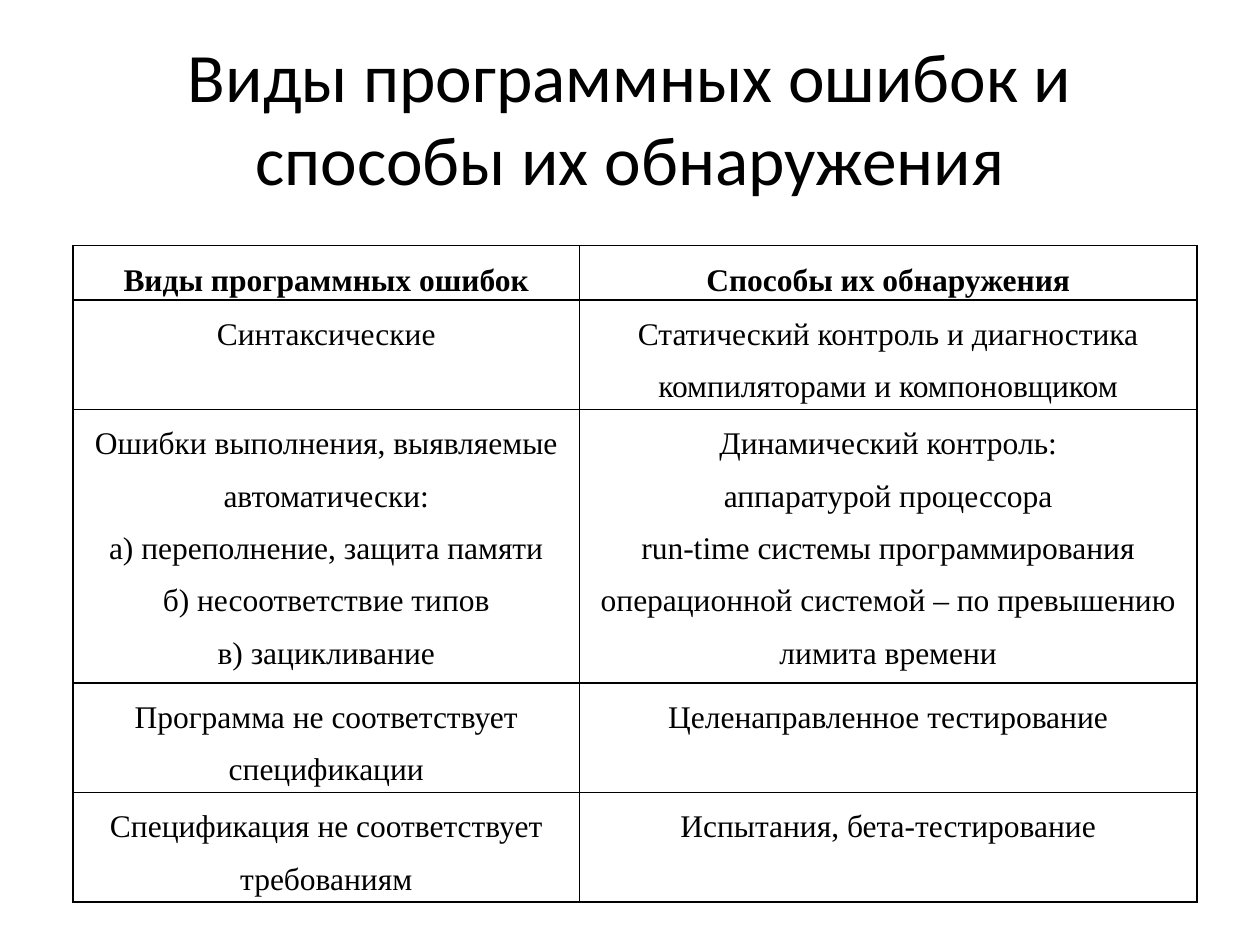
from dataclasses import dataclass

from lxml.etree import SubElement
from pptx import Presentation
from pptx.dml.color import RGBColor
from pptx.enum.text import MSO_ANCHOR, PP_ALIGN
from pptx.oxml.ns import qn
from pptx.util import Inches, Pt


@dataclass(frozen=True)
class Theme:
    ink: str = "000000"
    title_font: str = "Calibri"
    body_font: str = "Times New Roman"
    title_size: float = 39.6
    body_size: float = 18
    border: float = 1
    line_spacing: float = 1.5
    space_after: float = 6
    side_margin: float = 0.07


class Deck:
    def __init__(self, prs, theme):
        self.prs = prs
        self.theme = theme
        self.slide = None

    def add_slide(self):
        self.slide = self.prs.slides.add_slide(self.prs.slide_layouts[5])

    def style(self, p, font, size, bold=False):
        p.alignment = PP_ALIGN.CENTER
        for r in p.runs:
            r.font.name = font
            r.font.size = Pt(size)
            r.font.bold = bold
            r.font.color.rgb = RGBColor.from_string(self.theme.ink)

    def title(self, text, left, top, width, height):
        sp = self.slide.shapes.title
        sp.left, sp.top = Inches(left), Inches(top)
        sp.width, sp.height = Inches(width), Inches(height)
        tf = sp.text_frame
        tf.text = text
        tf.word_wrap = True
        tf.vertical_anchor = MSO_ANCHOR.MIDDLE
        self.style(tf.paragraphs[0], self.theme.title_font, self.theme.title_size)

    def borders(self, cell):
        tc_pr = cell._tc.get_or_add_tcPr()
        for index, side in enumerate(("lnL", "lnR", "lnT", "lnB")):
            ln = tc_pr.makeelement(qn(f"a:{side}"), {"w": str(Pt(self.theme.border))})
            fill = SubElement(ln, qn("a:solidFill"))
            SubElement(fill, qn("a:srgbClr"), val=self.theme.ink)
            tc_pr.insert(index, ln)

    def cell(self, cell, text, bold, space_after):
        cell.fill.background()
        cell.margin_left = cell.margin_right = Inches(self.theme.side_margin)
        cell.margin_top = cell.margin_bottom = 0
        cell.vertical_anchor = MSO_ANCHOR.TOP
        cell.text_frame.text = text
        for p in cell.text_frame.paragraphs:
            p.line_spacing = self.theme.line_spacing
            p.space_after = Pt(space_after)
            self.style(p, self.theme.body_font, self.theme.body_size, bold)
        self.borders(cell)

    def table(self, rows, left, top, widths, heights, spaced_rows):
        frame = self.slide.shapes.add_table(
            len(rows), len(widths), Inches(left), Inches(top),
            Inches(sum(widths)), Inches(sum(heights)))
        table = frame.table
        table.horz_banding = False
        for column, width in zip(table.columns, widths):
            column.width = Inches(width)
        for i, (row, height) in enumerate(zip(rows, heights)):
            table.rows[i].height = Inches(height)
            space_after = self.theme.space_after if i < spaced_rows else 0
            for j, text in enumerate(row):
                self.cell(table.cell(i, j), text, i == 0, space_after)


ERRORS = [
    ("Виды программных ошибок", "Способы их обнаружения"),
    ("Синтаксические",
     "Статический контроль и диагностика компиляторами и компоновщиком"),
    ("Ошибки выполнения, выявляемые автоматически:\n"
     "а) переполнение, защита памяти\n"
     "б) несоответствие типов\n"
     "в) зацикливание",
     "Динамический контроль:\n"
     "аппаратурой процессора\n"
     "run-time системы программирования\n"
     "операционной системой – по превышению лимита времени"),
    ("Программа не соответствует спецификации", "Целенаправленное тестирование"),
    ("Спецификация не соответствует требованиям", "Испытания, бета-тестирование"),
]

prs = Presentation()
prs.slide_width, prs.slide_height = Inches(10), Inches(7.5)
deck = Deck(prs, Theme())
deck.add_slide()
deck.title("Виды программных ошибок и способы их обнаружения", 0.5, 0.3, 9, 1.25)
deck.table(ERRORS, 0.58, 1.95, widths=(4.02, 4.9),
           heights=(0.43, 0.87, 2.17, 0.87, 0.87), spaced_rows=2)
prs.save("out.pptx")
